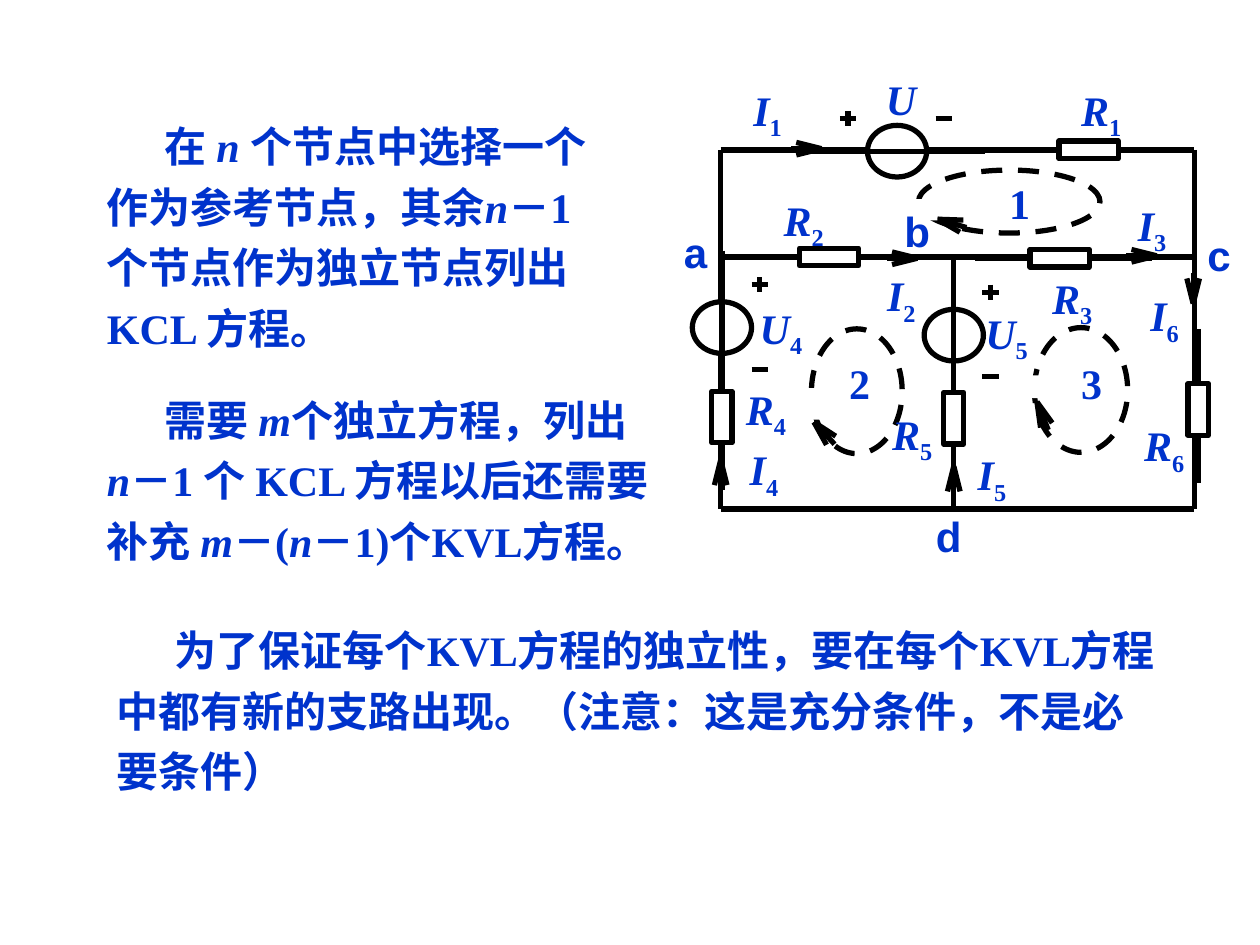
import math

import pptx
import pptx.dml.color
import pptx.enum.dml
import pptx.enum.shapes
import pptx.enum.text
import pptx.oxml
import pptx.util

BLUE = pptx.dml.color.RGBColor(0x00, 0x33, 0xCC)
BLACK = pptx.dml.color.RGBColor(0, 0, 0)
WHITE = pptx.dml.color.RGBColor(255, 255, 255)
SHAPES = pptx.enum.shapes.MSO_SHAPE
ALIGN = pptx.enum.text.PP_ALIGN
Inches = pptx.util.Inches
SERIF, SANS = "Times New Roman", "Arial"

# Paragraphs: box and text, with variables in italics between asterisks
PARAGRAPHS = [
    ((0.75, 0.83, 4.25, 2.02),
     "在 *n *个节点中选择一个作为参考节点，其余*n*－1 个节点作为独立节点列出 KCL 方程。"),
    ((0.75, 3, 4.58, 2.02),
     "需要 *m*个独立方程，列出 *n*－1 个 KCL 方程以后还需要补充 *m*－(*n*－1)个KVL方程。"),
    ((0.83, 4.83, 8.5, 1.54),
     "为了保证每个KVL方程的独立性，要在每个KVL方程中都有新的支路出现。"
     "（注意：这是充分条件，不是必要条件）"),
]

# Circuit frame: wires along the columns and rows of the nodes
LEFT, MIDDLE, RIGHT = 5.72, 7.57, 9.48
TOP, CENTRE, BOTTOM = 1.19, 2.04, 4.04
WIRES = [
    (LEFT, TOP, RIGHT, TOP), (LEFT, CENTRE, RIGHT, CENTRE),
    (LEFT, BOTTOM, RIGHT, BOTTOM), (LEFT, TOP, LEFT, BOTTOM),
    (RIGHT, TOP, RIGHT, BOTTOM), (MIDDLE, CENTRE, MIDDLE, BOTTOM),
]

# Components: centre, and whether they lie along a row
RESISTORS = [
    (8.41, 2.05, True), (6.58, 2.04, True), (8.64, 1.19, True),
    (9.51, 3.25, False), (7.57, 3.32, False), (5.73, 3.31, False),
]
SOURCES = [(7.12, 1.2, True), (7.57, 2.66, False), (5.73, 2.6, False)]
PLUSES = [(6.73, 0.94), (7.86, 2.32), (6.03, 2.26)]
MINUSES = [(7.49, 0.94), (7.86, 2.99), (6.03, 2.93)]

# Arrowheads: tip, and direction in degrees from the tip to the tail
ARROWS = [
    (9.47, 2.41, 270), (5.72, 3.65, 90), (7.57, 3.7, 90),
    (6.52, 1.18, 180), (7.28, 2.05, 180), (9.18, 2.03, 180),
    (7.44, 1.74, 16), (8.23, 3.19, 68), (6.46, 3.35, 47),
]

# Loops: dashed ellipse, white gap in it
LOOPS = [
    ((7.29, 1.35, 1.44, 0.5), (7.06, 1.58, 0.38, 0.17)),
    ((6.44, 2.61, 0.72, 0.99), (6.32, 3.08, 0.25, 0.25)),
    ((8.21, 2.6, 0.74, 0.99), (8.13, 2.98, 0.27, 0.18)),
]
LOOP_NUMBERS = [("1", 8.01, 1.41, 0.47, 0.59), ("2", 6.74, 2.84, 0.4, 0.48),
                ("3", 8.58, 2.84, 0.47, 0.59)]

# Quantities: symbol, subscript, box
QUANTITIES = [
    ("U", "", 7.03, 0.58, 0.32, 0.25), ("U", "5", 7.82, 2.44, 0.66, 0.59),
    ("U", "4", 6.03, 2.4, 0.54, 0.51), ("R", "1", 8.58, 0.67, 0.59, 0.59),
    ("R", "2", 6.22, 1.54, 0.6, 0.59), ("R", "3", 8.35, 2.16, 0.49, 0.59),
    ("R", "4", 5.92, 3.04, 0.4, 0.53), ("R", "5", 7.08, 3.24, 0.6, 0.53),
    ("R", "6", 9.08, 3.33, 0.42, 0.53), ("I", "1", 5.98, 0.67, 0.4, 0.28),
    ("I", "2", 7.04, 2.14, 0.53, 0.53), ("I", "3", 9.03, 1.58, 0.55, 0.53),
    ("I", "4", 5.95, 3.52, 0.62, 0.53), ("I", "5", 7.76, 3.56, 0.62, 0.53),
    ("I", "6", 9.13, 2.3, 0.45, 0.32),
]
NODES = [("a", ALIGN.LEFT, 5.33, 1.75, 0.67, 0.5), ("d", ALIGN.LEFT, 7.33, 4, 0.5, 0.5),
         ("b", ALIGN.LEFT, 7.08, 1.58, 0.5, 0.5), ("c", ALIGN.CENTER, 9.38, 1.77, 0.59, 0.5)]


def add_text(slide, box, runs, font=SERIF, align=ALIGN.LEFT, inset=True):
    """Runs are (text, italic, subscript); returns the paragraph."""
    frame = slide.shapes.add_textbox(*map(Inches, box)).text_frame
    across, down = (Inches(0.1), Inches(0.05)) if inset else (0, 0)
    layout = {"word_wrap": True, "margin_left": across, "margin_right": across,
              "margin_top": down, "margin_bottom": down}
    for name, value in layout.items():
        setattr(frame, name, value)
    paragraph = frame.paragraphs[0]
    paragraph.alignment = align
    for text, italic, subscript in runs:
        run = paragraph.add_run()
        run.text = text
        style = {"name": font, "size": pptx.util.Pt(24), "bold": True, "italic": italic}
        for name, value in style.items():
            setattr(run.font, name, value)
        run.font.color.rgb = BLUE
        if subscript:
            run._r.get_or_add_rPr().set("baseline", "-25000")
    return paragraph


def add_line(slide, x1, y1, x2, y2):
    line = slide.shapes.add_connector(
        pptx.enum.shapes.MSO_CONNECTOR.STRAIGHT, *map(Inches, (x1, y1, x2, y2)))
    line.line.color.rgb = BLACK
    line.line.width = pptx.util.Pt(3)
    line._element.spPr.append(pptx.oxml.parse_xml(
        '<a:effectLst xmlns:a="http://schemas.openxmlformats.org/drawingml/2006/main"/>'))


def add_outline(slide, kind, box, filled=True, lined=True):
    shape = slide.shapes.add_shape(kind, *map(Inches, box))
    shape.shadow.inherit = False
    if filled:
        shape.fill.solid()
        shape.fill.fore_color.rgb = WHITE
    else:
        shape.fill.background()
    if lined:
        shape.line.color.rgb = BLACK
        shape.line.width = pptx.util.Pt(3)
    else:
        shape.line.fill.background()
    return shape


def add_lead(slide, x, y, along_row):
    half_w, half_h = (0.7, 0) if along_row else (0, 0.61)
    add_line(slide, x - half_w, y - half_h, x + half_w, y + half_h)


def add_arrow(slide, x, y, degrees):
    """A shaft and two barbs that meet in the tip."""
    cos, sin = math.cos(math.radians(degrees)), math.sin(math.radians(degrees))
    for back, aside in ((0.2, -0.05), (0.2, 0.05), (0.24, 0)):
        add_line(slide, x, y, x + back * cos - aside * sin, y + back * sin + aside * cos)


def add_circuit(slide):
    for wire in WIRES:
        add_line(slide, *wire)
    # Sources, with the lead across the circle
    for x, y, along_row in SOURCES:
        add_outline(slide, SHAPES.OVAL, (x - 0.235, y - 0.205, 0.47, 0.41))
        add_lead(slide, x, y, along_row)
    # Resistors, with the lead behind the body
    for x, y, along_row in RESISTORS:
        w, h = (0.47, 0.14) if along_row else (0.16, 0.41)
        shift_x, shift_y = (0.03, 0) if along_row else (0, -0.03)
        add_lead(slide, x + shift_x, y + shift_y, along_row)
        add_outline(slide, SHAPES.RECTANGLE, (x - w / 2, y - h / 2, w, h))
    # Polarity signs
    for x, y in PLUSES + MINUSES:
        add_line(slide, x - 0.065, y, x + 0.065, y)
    for x, y in PLUSES:
        add_line(slide, x, y - 0.06, x, y + 0.06)
    # Loops and arrows
    for ellipse, _ in LOOPS:
        loop = add_outline(slide, SHAPES.OVAL, ellipse, filled=False)
        loop.line.dash_style = pptx.enum.dml.MSO_LINE.DASH
    for arrow in ARROWS:
        add_arrow(slide, *arrow)
    for _, gap in LOOPS:
        add_outline(slide, SHAPES.RECTANGLE, gap, lined=False)


def add_labels(slide):
    for symbol, index, *box in QUANTITIES:
        runs = [(symbol, True, False)] + ([(index, False, True)] if index else [])
        add_text(slide, box, runs, align=ALIGN.JUSTIFY, inset=False)
    for number, *box in LOOP_NUMBERS:
        add_text(slide, box, [(number, False, False)], align=ALIGN.JUSTIFY, inset=False)
    for node, align, *box in NODES:
        add_text(slide, box, [(node, False, False)], SANS, align)


def main():
    deck = pptx.Presentation()
    deck.slide_width, deck.slide_height = Inches(10), Inches(7.5)
    slide = deck.slides.add_slide(deck.slide_layouts[6])
    for box, text in PARAGRAPHS:
        runs = [(part, i % 2 == 1, False) for i, part in enumerate(text.split("*"))]
        paragraph = add_text(slide, box, runs)
        paragraph.line_spacing = 1.2
        paragraph._p.get_or_add_pPr().set("indent", str(Inches(0.46)))
    add_circuit(slide)
    add_labels(slide)
    deck.save("out.pptx")


if __name__ == "__main__":
    main()
